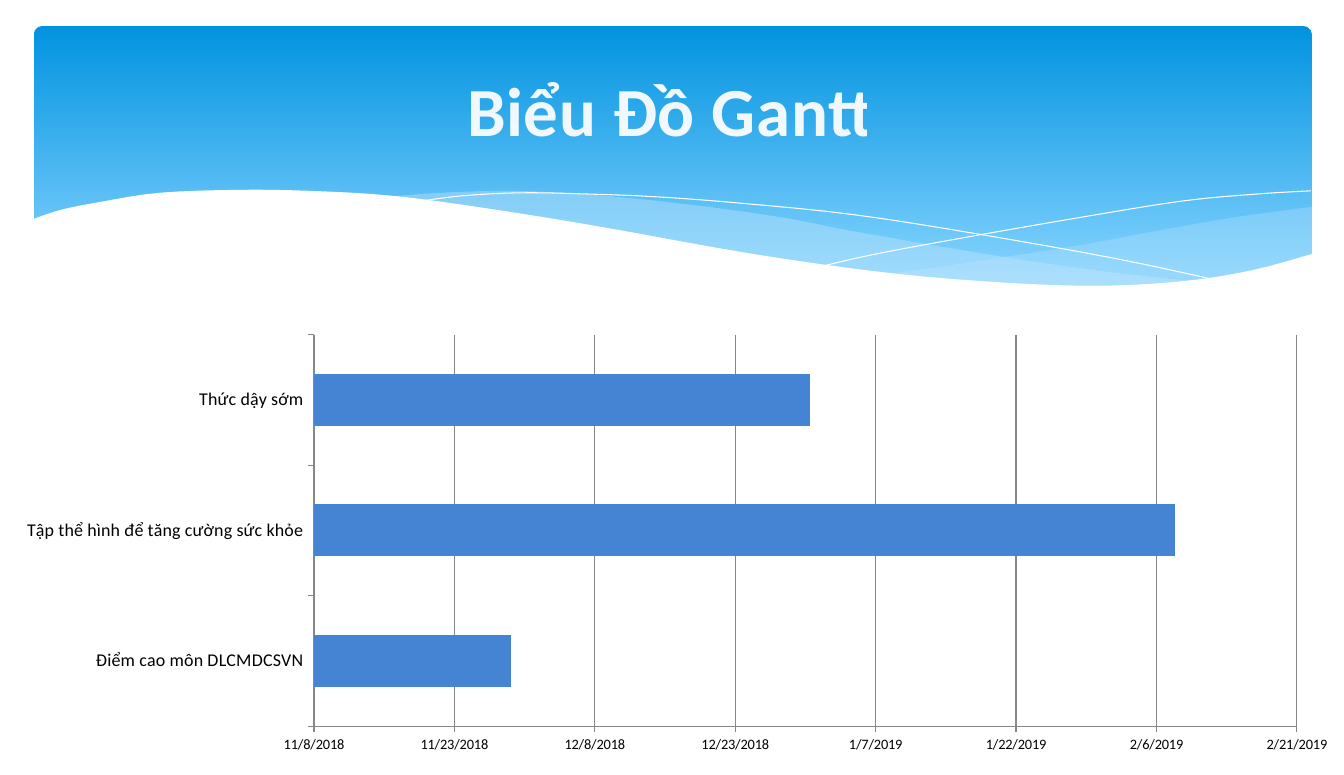
from dataclasses import dataclass

from lxml import etree
from pptx import Presentation
from pptx.chart.data import CategoryChartData
from pptx.dml.color import RGBColor
from pptx.enum.chart import XL_CHART_TYPE, XL_TICK_MARK
from pptx.enum.shapes import MSO_SHAPE
from pptx.enum.text import MSO_ANCHOR, PP_ALIGN
from pptx.oxml import parse_xml
from pptx.oxml.ns import nsdecls, qn
from pptx.util import Emu, Inches, Pt

ROUNDED = MSO_SHAPE.ROUNDED_RECTANGLE
STACKED_BARS = XL_CHART_TYPE.BAR_STACKED
TICK_OUT = XL_TICK_MARK.OUTSIDE
MIDDLE, CENTER = MSO_ANCHOR.MIDDLE, PP_ALIGN.CENTER
EMU_PER_PIXEL = 914400 / 103.4


@dataclass(frozen=True)
class Theme:
    """Colours, font and type sizes of the slide."""
    font: str = "Calibri"
    banner_top: str = "0293E0"
    banner_bottom: str = "83D3FE"
    wave: str = "C6E7FC"
    white: str = "FFFFFF"
    title: str = "FCFDFF"
    title_edge: str = "0A2533"
    bar: str = "4584D3"
    grid: str = "878787"
    text: str = "000000"
    title_size: float = 48
    label_size: float = 12.5
    chart_size: float = 10


THEME = Theme()

# Each wave is a list of strokes; corners stay sharp where strokes meet.
RIGHT_WAVE = [
    [(1312, 207), (1238, 217), (1157, 231), (1082, 245), (1012, 256),
     (948, 266), (889, 274)],
    [(889, 274), (966, 281), (1034, 286), (1094, 287), (1148, 286),
     (1195, 283), (1238, 277), (1276, 268), (1312, 255)],
]
MIDDLE_WAVE = [
    [(385, 197), (440, 193), (511, 191), (594, 195), (692, 205), (785, 218),
     (846, 230), (949, 248), (1042, 263), (1125, 274), (1200, 282)],
    [(1200, 282), (1127, 287), (1055, 287), (952, 281), (874, 273),
     (761, 256), (604, 230), (515, 214), (434, 203), (385, 197)],
]
FALLING_LINE = [
    [(416, 202), (462, 196), (520, 193), (581, 194), (657, 197), (748, 204),
     (855, 215), (977, 234), (1117, 259), (1220, 281)],
]
RISING_LINE = [
    [(824, 266), (877, 254), (969, 237), (1084, 217), (1184, 201),
     (1260, 194), (1311, 191)],
]
WHITE_WAVE = [
    [(1313, 254), (1250, 271), (1177, 282), (1087, 286), (976, 281),
     (871, 271), (746, 253), (601, 227), (490, 209), (393, 196), (309, 191),
     (238, 190), (159, 193), (101, 202), (61, 210), (31, 220)],
    [(31, 340), (1313, 340)],
]

START_DAY, END_DAY, DAYS_PER_STEP = 43412, 43517, 15
TASKS = {
    "Điểm cao môn DLCMDCSVN": 21,
    "Tập thể hình để tăng cường sức khỏe": 92,
    "Thức dậy sớm": 53,
}


def px(length):
    """Turn pixels into EMU."""
    return Emu(round(length * EMU_PER_PIXEL))


def rgb(color):
    """Turn a hex string into a colour."""
    return RGBColor.from_string(color)


def smooth(stroke, steps=4):
    """Run a Catmull-Rom curve through the points of a stroke."""
    if len(stroke) < 3:
        return stroke
    padded = [stroke[0], *stroke, stroke[-1]]
    curve = [stroke[0]]
    for a, b, c, d in zip(padded, padded[1:], padded[2:], padded[3:]):
        for step in range(1, steps + 1):
            t = step / steps
            curve.append(tuple(
                q + t / 2 * (r - p + t * (2 * p - 5 * q + 4 * r - s
                                          + t * (3 * (q - r) + s - p)))
                for p, q, r, s in zip(a, b, c, d)))
    return curve


def set_opacity(element, percent):
    """Give every colour inside an element an opacity."""
    for color in element.iter(qn("a:srgbClr")):
        etree.SubElement(color, qn("a:alpha"), val=str(percent * 1000))


def add_banner(page):
    """Add the rounded gradient panel."""
    banner = page.shapes.add_shape(ROUNDED, px(34), px(26), px(1278), px(279))
    banner.adjustments[0] = 0.03
    banner.shadow.inherit = False
    banner.line.fill.background()
    banner.fill.gradient()
    banner.fill.gradient_angle = 270
    stops = banner.fill.gradient_stops
    for stop, color, position in zip(
            stops, (THEME.banner_top, THEME.banner_bottom), (0, 0.9)):
        stop.color.rgb = rgb(color)
        stop.position = position


def add_curve(page, strokes, fill=None, opacity=100):
    """Add a filled wave, or a white hairline when no fill is given."""
    points = [point for stroke in strokes for point in smooth(stroke)]
    builder = page.shapes.build_freeform(
        *(px(value) for value in points[0]))
    builder.add_line_segments(
        [(px(x), px(y)) for x, y in points[1:]], close=fill is not None)
    curve = builder.convert_to_shape()
    curve.shadow.inherit = False
    if fill:
        curve.line.fill.background()
        curve.fill.solid()
        curve.fill.fore_color.rgb = rgb(fill)
        if opacity < 100:
            set_opacity(curve.fill._xPr, opacity)
    else:
        curve.fill.background()
        curve.line.color.rgb = rgb(THEME.white)
        curve.line.width = 0


def set_font(font, size, color):
    """Apply the theme font with a size and colour."""
    font.name, font.size = THEME.font, Pt(size)
    font.color.rgb = rgb(color)


def place_plot(chart, x, y, w, h):
    """Fix the inner plot area as fractions of the chart."""
    area = chart._chartSpace.chart.plotArea
    for layout in area.findall(qn("c:layout")):
        area.remove(layout)
    sizes = "".join(f'<c:{tag} val="{value}"/>' for tag, value in
                    zip("xywh", (x, y, w, h)))
    area.insert(0, parse_xml(
        f'<c:layout {nsdecls("c")}><c:manualLayout>'
        '<c:layoutTarget val="inner"/><c:xMode val="edge"/>'
        f'<c:yMode val="edge"/>{sizes}</c:manualLayout></c:layout>'))


def add_gantt(page):
    """Add stacked bars whose hidden first series holds the start day."""
    data = CategoryChartData()
    data.categories = list(TASKS)
    data.add_series("Series 1", [START_DAY] * len(TASKS))
    data.add_series("Series 2", list(TASKS.values()))
    chart = page.shapes.add_chart(
        STACKED_BARS, px(0), px(328), px(1356), px(435), data).chart
    chart.has_legend = chart.has_title = False
    set_font(chart.font, THEME.chart_size, THEME.text)
    place_plot(chart, 0.2316, 0.0165, 0.725, 0.9)

    plot = chart.plots[0]
    plot.gap_width, plot.overlap = 150, 100
    plot.vary_by_categories = False
    starts, lengths = plot.series
    starts.format.fill.background()
    lengths.format.fill.solid()
    lengths.format.fill.fore_color.rgb = rgb(THEME.bar)

    tasks, days = chart.category_axis, chart.value_axis
    set_font(tasks.tick_labels.font, THEME.label_size, THEME.text)
    days.minimum_scale, days.maximum_scale = START_DAY, END_DAY
    days.major_unit = DAYS_PER_STEP
    days.has_major_gridlines = True
    days.tick_labels.number_format = "m/d/yyyy"
    days.tick_labels.number_format_is_linked = False
    for axis in (tasks, days):
        axis.major_tick_mark = TICK_OUT
        axis.format.line.color.rgb = rgb(THEME.grid)
    days.major_gridlines.format.line.color.rgb = rgb(THEME.grid)


def add_title(page, text):
    """Add the centred bold title with a faint edge."""
    box = page.shapes.add_textbox(px(67), px(38), px(1210), px(142))
    frame = box.text_frame
    frame.word_wrap = True
    frame.vertical_anchor = MIDDLE
    para = frame.paragraphs[0]
    para.alignment = CENTER
    span = para.add_run()
    span.text = text
    set_font(span.font, THEME.title_size, THEME.title)
    span.font.bold = True
    look = span.font._element
    look.set("spc", "50")
    set_opacity(look, 95)
    edge = parse_xml(
        f'<a:ln {nsdecls("a")} w="13462"><a:solidFill>'
        f'<a:srgbClr val="{THEME.title_edge}"/></a:solidFill></a:ln>')
    set_opacity(edge, 6)
    look.insert(0, edge)


def main():
    """Build the slide and save it."""
    deck = Presentation()
    deck.slide_width, deck.slide_height = Inches(13), Inches(7.5)
    page = deck.slides.add_slide(deck.slide_layouts[6])
    add_banner(page)
    add_curve(page, RIGHT_WAVE, THEME.wave, 29)
    add_curve(page, MIDDLE_WAVE, THEME.wave, 40)
    add_curve(page, FALLING_LINE)
    add_curve(page, RISING_LINE)
    add_curve(page, WHITE_WAVE, THEME.white)
    add_gantt(page)
    add_title(page, "Biểu Đồ Gantt")
    deck.save("out.pptx")


main()
